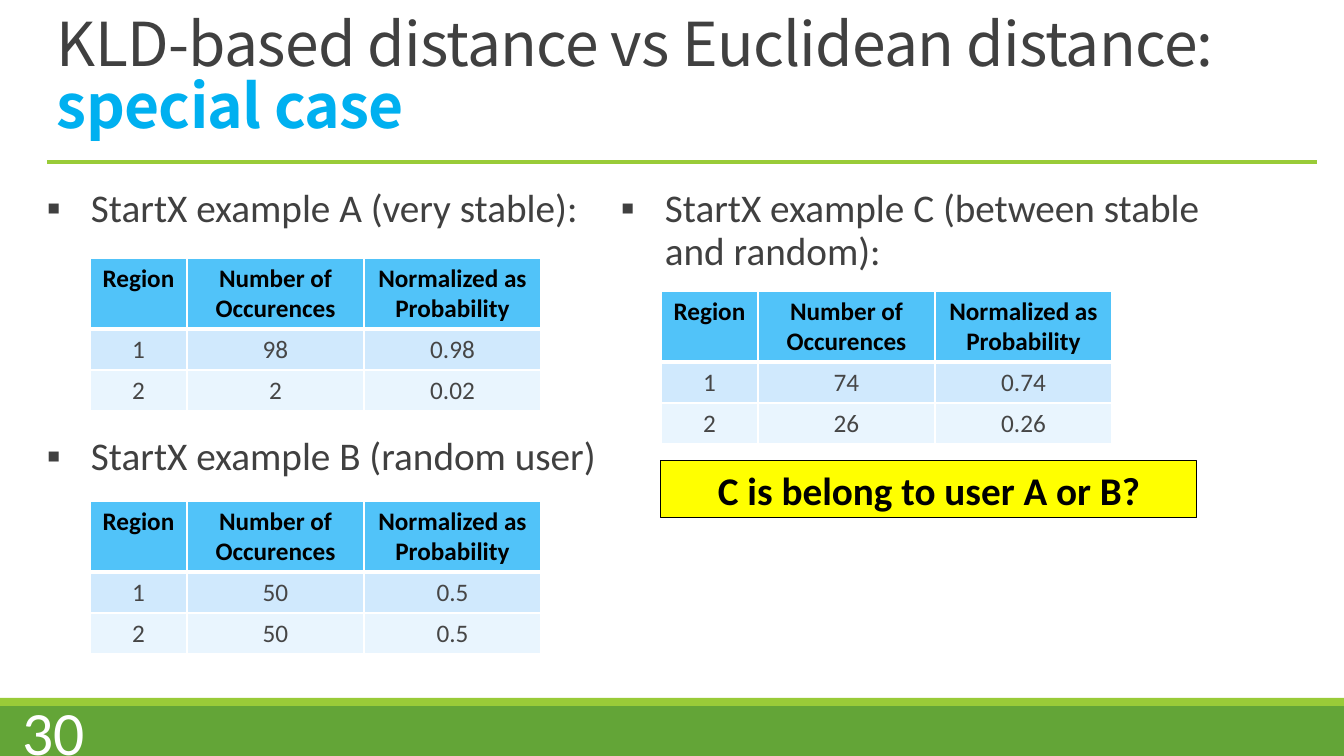
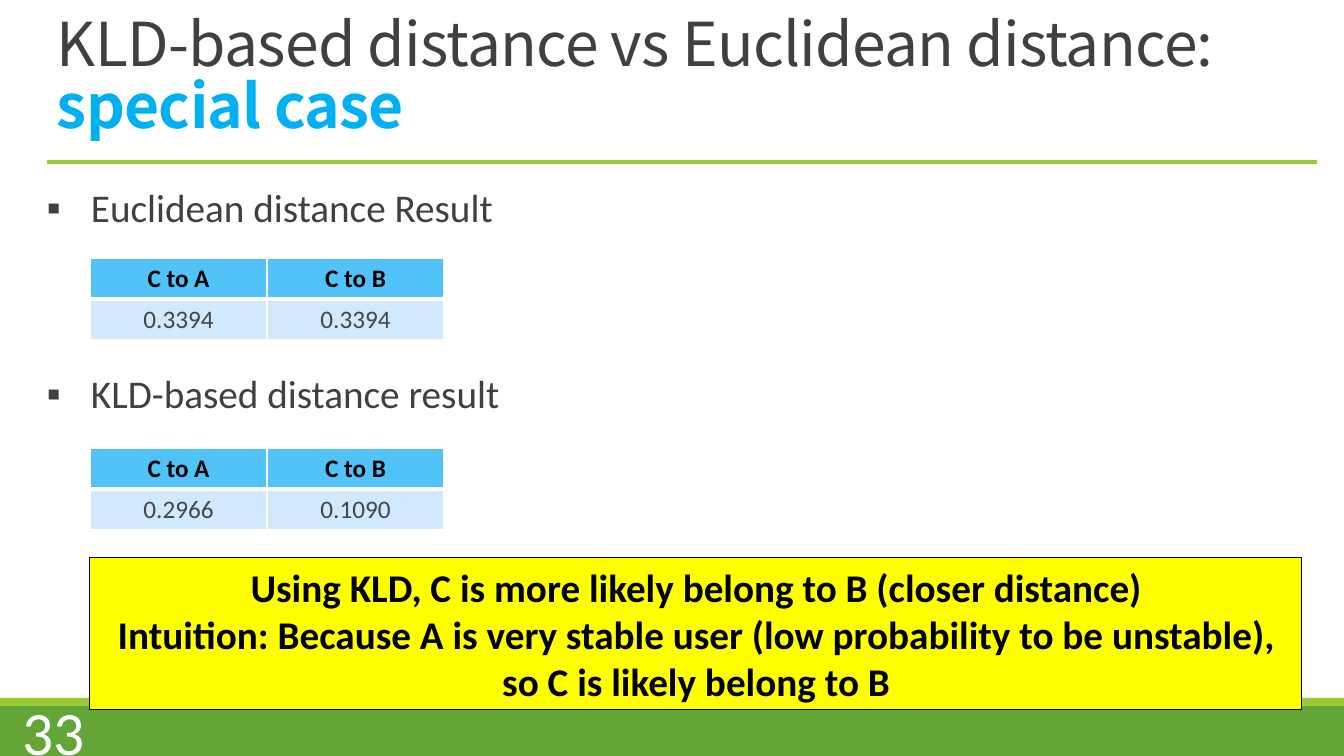
from lxml.etree import SubElement
from pptx import Presentation
from pptx.dml.color import RGBColor
from pptx.enum.shapes import MSO_CONNECTOR as Connector, MSO_SHAPE as Shape
from pptx.enum.text import MSO_ANCHOR as Anchor, PP_ALIGN as Align
from pptx.oxml.ns import qn
from pptx.util import Pt

COLORS = {
    "paper": "FFFFFF", "ink": "000000", "text": "404040", "cell": "464646",
    "accent": "00B0F0", "green": "63A537", "lime": "99CB38", "yellow": "FFFF00",
    "header": "51C3F9", "band_dark": "D0E9FD", "band_light": "E9F5FE",
}
BODY_FONT = "Calibri"
TITLE_FONT = "Noto Sans CJK SC"
TITLE = ("KLD-based distance vs Euclidean distance:", "special case")

EMU_PER_PX = 914400 / 100.8
SLIDE_SIZE = (1344, 756)
ROW_HEIGHT, WRAPPED_HEIGHT = 41, 71
BULLET_TOP, BULLET_STEP, BULLET_INDENT = 184, 62, 44
LEFT_BULLET, RIGHT_BULLET = (47, 575), (621, 591)
LEFT_TABLE, RIGHT_TABLE = 90, 661

REGION_HEADER = ("Region", "Number of Occurences", "Normalized as Probability")
REGION_TABLE = {"columns": (97, 177, 177), "header_height": WRAPPED_HEIGHT}
RESULT_HEADER = ("C to A", "C to B")
RESULT_TABLE = {"columns": (177, 177), "header_height": ROW_HEIGHT}

SLIDES = [
    {
        "number": "30",
        "bullets": [
            (LEFT_BULLET, 0, "StartX example A (very stable):"),
            (LEFT_BULLET, 4, "StartX example B (random user)"),
            (RIGHT_BULLET, 0, "StartX example C (between stable and random):"),
        ],
        "layout": REGION_TABLE,
        "tables": [
            (LEFT_TABLE, 258, [REGION_HEADER, ("1", "98", "0.98"), ("2", "2", "0.02")]),
            (LEFT_TABLE, 501, [REGION_HEADER, ("1", "50", "0.5"), ("2", "50", "0.5")]),
            (RIGHT_TABLE, 291, [REGION_HEADER, ("1", "74", "0.74"), ("2", "26", "0.26")]),
        ],
        "callout": ((661, 461, 536, 57), ["C is belong to user A or B?"]),
    },
    {
        "number": "33",
        "bullets": [
            (LEFT_BULLET, 0, "Euclidean distance Result"),
            (LEFT_BULLET, 3, "KLD-based distance result"),
        ],
        "layout": RESULT_TABLE,
        "tables": [
            (LEFT_TABLE, 258, [RESULT_HEADER, ("0.3394", "0.3394")]),
            (LEFT_TABLE, 448, [RESULT_HEADER, ("0.2966", "0.1090")]),
        ],
        "callout": ((90, 558, 1212, 152), [
            "Using KLD, C is more likely belong to B (closer distance)",
            "Intuition: Because A is very stable user (low probability to be unstable), "
            "so C is likely belong to B",
        ]),
    },
]


def px(*lengths):
    return [round(length * EMU_PER_PX) for length in lengths]


def color(name):
    return RGBColor.from_string(COLORS[name])


def write(para, text, size=28, fill="text", font=BODY_FONT, bold=False, align=None, tracking=None):
    span = para.add_run()
    span.text = text
    span.font.size = Pt(size)
    span.font.name = font
    span.font.bold = bold
    span.font.color.rgb = color(fill)
    if align is not None:
        para.alignment = align
    if tracking is not None:
        span._r.get_or_add_rPr().set("spc", str(tracking))


def add_box(page, place, anchor=Anchor.TOP, side_inset=10):
    frame = page.shapes.add_textbox(*px(*place)).text_frame
    frame.word_wrap = True
    frame.vertical_anchor = anchor
    frame.margin_left = frame.margin_right = px(side_inset)[0]
    return frame.paragraphs[0]


def add_block(page, place, fill):
    block = page.shapes.add_shape(Shape.RECTANGLE, *px(*place))
    block.shadow.inherit = False
    block.fill.solid()
    block.fill.fore_color.rgb = color(fill)
    block.line.fill.background()
    return block


def add_frame(page, number):
    page.background.fill.solid()
    page.background.fill.fore_color.rgb = color("paper")
    add_block(page, (0, 706, 1344, 50), "green")
    add_block(page, (0, 698, 1344, 8), "lime")

    para = add_box(page, (47, 0, 1187, 146), Anchor.BOTTOM)
    para.line_spacing = 0.85
    style = {"size": 43.2, "font": TITLE_FONT, "tracking": -50}
    write(para, TITLE[0], **style)
    para.add_line_break()
    write(para, TITLE[1], fill="accent", bold=True, **style)

    rule = page.shapes.add_connector(Connector.STRAIGHT, *px(47, 162, 1317, 162))
    rule.line.color.rgb = color("lime")
    rule.line.width = Pt(3)
    SubElement(rule._element.spPr, qn("a:effectLst"))

    para = add_box(page, (0, 711, 95, 40), Anchor.MIDDLE)
    write(para, number, size=44, fill="paper", align=Align.RIGHT)


def add_bullet(page, column, step, text):
    left, width = column
    para = add_box(page, (left, BULLET_TOP + step * BULLET_STEP, width, 97), side_inset=0)
    indent = px(BULLET_INDENT)[0]
    props = para._p.get_or_add_pPr()
    props.set("marL", str(indent))
    props.set("indent", str(-indent))
    SubElement(props, qn("a:buFont"), typeface=BODY_FONT)
    SubElement(props, qn("a:buChar"), char="▪")
    para.line_spacing = 0.9
    write(para, text)


def add_borders(cell, row):
    props = cell._tc.get_or_add_tcPr()
    widths = {"lnL": 1, "lnR": 1, "lnT": 3 if row == 1 else 1, "lnB": 3 if row == 0 else 1}
    for side, width in widths.items():
        line = SubElement(props, qn(f"a:{side}"), w=str(Pt(width)))
        fill = SubElement(line, qn("a:solidFill"))
        SubElement(fill, qn("a:srgbClr"), val=COLORS["paper"])


def add_data_table(page, left, top, rows, columns, header_height):
    heights = [header_height] + [ROW_HEIGHT] * (len(rows) - 1)
    place = px(left, top, sum(columns), sum(heights))
    table = page.shapes.add_table(len(rows), len(columns), *place).table
    for column, width in zip(table.columns, px(*columns)):
        column.width = width
    for row, height in zip(table.rows, px(*heights)):
        row.height = height
    for r, values in enumerate(rows):
        is_header = r == 0
        fill = "header" if is_header else "band_dark" if r % 2 else "band_light"
        for c, value in enumerate(values):
            cell = table.cell(r, c)
            add_borders(cell, r)
            cell.fill.solid()
            cell.fill.fore_color.rgb = color(fill)
            write(cell.text_frame.paragraphs[0], value, size=18, bold=is_header,
                  fill="ink" if is_header else "cell", align=Align.CENTER)


def add_callout(page, place, lines):
    block = add_block(page, place, "yellow")
    block.line.color.rgb = color("ink")
    block.line.width = Pt(0.75)
    frame = block.text_frame
    frame.word_wrap = True
    frame.vertical_anchor = Anchor.TOP
    for index, text in enumerate(lines):
        para = frame.add_paragraph() if index else frame.paragraphs[0]
        write(para, text, fill="ink", bold=True, align=Align.CENTER)


def main():
    deck = Presentation()
    deck.slide_width, deck.slide_height = px(*SLIDE_SIZE)
    for content in SLIDES:
        page = deck.slides.add_slide(deck.slide_layouts[6])
        add_frame(page, content["number"])
        for bullet in content["bullets"]:
            add_bullet(page, *bullet)
        for table in content["tables"]:
            add_data_table(page, *table, **content["layout"])
        add_callout(page, *content["callout"])
    deck.save("out.pptx")


if __name__ == "__main__":
    main()
